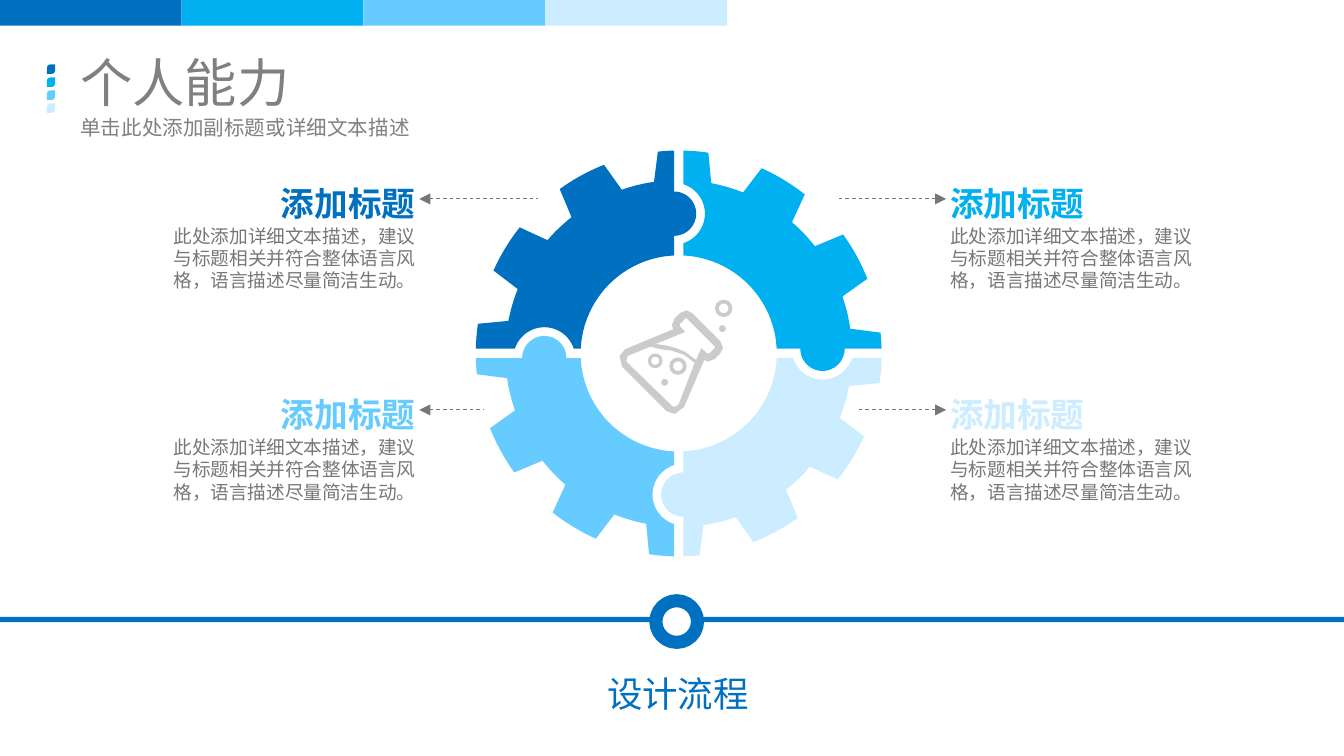
from math import asin, cos, degrees, radians, sin

from lxml.etree import SubElement
from pptx import Presentation
from pptx.dml.color import RGBColor
from pptx.enum.dml import MSO_LINE
from pptx.enum.shapes import MSO_CONNECTOR, MSO_SHAPE
from pptx.enum.text import MSO_ANCHOR, MSO_AUTO_SIZE, PP_ALIGN
from pptx.oxml.ns import qn
from pptx.util import Inches, Pt

FONT = "Noto Sans CJK SC"
BLUE, CYAN, SKY, PALE = PALETTE = ["0070C0", "00B0F0", "66CCFF", "CCECFF"]
GREY, BODY_GREY, ICON_GREY, WHITE = "808080", "777777", "CBCBCB", "FFFFFF"
BODY = "此处添加详细文本描述，建议与标题相关并符合整体语言风格，语言描述尽量简洁生动。"

FLASK = [(.55, .10), (.51, .08), (.46, .10), (.42, .14), (.40, .19), (.41, .22),
         (.05, .37), (.01, .42), (.03, .50), (.36, .83), (.42, .85), (.49, .80),
         (.64, .45), (.67, .46), (.72, .44), (.76, .40), (.78, .36), (.76, .31)]
LIQUID = [(.45, .78), (.42, .80), (.40, .79), (.06, .46), (.07, .42), (.24, .35),
          (.32, .37), (.40, .38), (.49, .41), (.57, .47)]
NECK = [(.72, .36), (.68, .40), (.66, .40), (.62, .36), (.58, .45), (.50, .39),
        (.43, .36), (.35, .34), (.28, .33), (.50, .24), (.46, .20), (.46, .18),
        (.50, .14), (.51, .14), (.72, .35)]


def rgb(color):
    """Turn a hex string into a colour."""
    return RGBColor.from_string(color)


def paint(shape, color):
    """Give a shape a plain fill without line or shadow."""
    shape.shadow.inherit = False
    shape.fill.solid()
    shape.fill.fore_color.rgb = rgb(color)
    shape.line.fill.background()
    return shape


def add_preset(slide, kind, left, top, width, height, color):
    """Add a plain preset shape."""
    box = [Inches(v) for v in (left, top, width, height)]
    return paint(slide.shapes.add_shape(kind, *box), color)


def add_outline(slide, left, top, contours, color):
    """Add a freeform whose contours are relative to a point."""
    contours = [[(Inches(left + x), Inches(top + y)) for x, y in c] for c in contours]
    builder = slide.shapes.build_freeform(*contours[0][0], scale=1.0)
    builder.add_line_segments(contours[0][1:])
    for hole in contours[1:]:
        builder.move_to(*hole[0])
        builder.add_line_segments(hole[1:])
    return paint(builder.convert_to_shape(), color)


def write(shape, text, size, color, align=PP_ALIGN.LEFT, bold=False, inset=(.04, .04)):
    """Fill a text shape with one formatted paragraph."""
    frame = shape.text_frame
    frame.word_wrap = True
    frame.auto_size = MSO_AUTO_SIZE.NONE
    frame.margin_left = frame.margin_right = Inches(inset[0])
    frame.margin_top = frame.margin_bottom = Inches(inset[1])
    frame.text = text
    paragraph = frame.paragraphs[0]
    paragraph.alignment = align
    run = paragraph.runs[0]
    run.font.size, run.font.bold, run.font.name = Pt(size), bold, FONT
    run.font.color.rgb = rgb(color)
    SubElement(run.font._element, qn("a:ea")).set("typeface", FONT)
    return paragraph


def add_text(slide, left, top, width, height, *args, **kwargs):
    """Add a text box holding one paragraph."""
    box = [Inches(v) for v in (left, top, width, height)]
    return write(slide.shapes.add_textbox(*box), *args, **kwargs)


def add_arrow(slide, head_x, tail_x, y):
    """Add a dashed level line with its arrowhead at head_x."""
    arrow = slide.shapes.add_connector(
        MSO_CONNECTOR.STRAIGHT, Inches(head_x), Inches(y), Inches(tail_x), Inches(y))
    arrow.line.color.rgb = rgb(BODY_GREY)
    arrow.line.width = Pt(0.5)
    arrow.line.dash_style = MSO_LINE.DASH
    SubElement(arrow.line._get_or_add_ln(), qn("a:headEnd")).set("type", "triangle")
    SubElement(arrow._element.spPr, qn("a:effectLst"))


def add_header(slide, left, top, width):
    """Place title, subtitle, leaf marks and the colour band."""
    title = slide.shapes.title
    title.left, title.top = Inches(left), Inches(top)
    title.width, title.height = Inches(width), Inches(0.4)
    write(title, "个人能力", 28, GREY, inset=(.1, .05))
    title.text_frame.vertical_anchor = MSO_ANCHOR.MIDDLE
    subtitle = add_text(slide, left, top + 0.4, width, 0.33,
                        "单击此处添加副标题或详细文本描述", 11, GREY, inset=(.1, .05))
    subtitle.space_before = Pt(2.2)
    for i, color in enumerate(PALETTE):
        add_preset(slide, MSO_SHAPE.RECTANGLE, 5.41 / 4 * i, 0, 5.41 / 4, 0.19, color)
        leaf = add_preset(slide, MSO_SHAPE.ROUND_2_DIAG_RECTANGLE, left - 0.15,
                          top + 0.07 + 0.29 / 3 * i, 0.06, 0.07, color)
        leaf.adjustments[0] = 0.4


def arc(x, y, radius, start, end, steps=24):
    """Return points along an arc, with angles in degrees."""
    angles = [radians(start + (end - start) * i / steps) for i in range(steps + 1)]
    return [(x + radius * cos(a), y + radius * sin(a)) for a in angles]


def gear_quarter(tab, socket, outer=1.51, root=1.29, inner=0.73, gap=0.035):
    """Outline the top-left gear quarter around the gear centre."""
    rim, bore = (degrees(asin(gap / r)) for r in (outer, inner))
    points = arc(0, 0, outer, 180 + rim, 188.4, 4)
    for pitch in (180, 210, 240):
        points += arc(0, 0, root, pitch + 10.8, pitch + 21.8, 6)
        points += arc(0, 0, outer, pitch + 24.1, min(pitch + 38.4, 270 - rim), 6)
    points += arc(-gap, -tab, 0.165, -90, 90)
    points += arc(0, 0, inner, 270 - bore, 180 + bore)
    dip = degrees(asin(2 * gap / 0.23))
    return points + arc(-socket, gap, 0.23, -dip, dip - 180)


def add_gear(slide, x, y):
    """Draw four interlocking gear quarters around a centre."""
    tabs = [1.04, 1.00, 1.05, 1.07]
    for turn, color in enumerate([BLUE, SKY, PALE, CYAN]):
        points = gear_quarter(tabs[turn], tabs[(turn + 1) % 4])
        for _ in range(turn):
            points = [(py, -px) for px, py in points]
        add_outline(slide, x, y, [points], color)


def add_flask(slide, left, top):
    """Draw the flask icon with its bubbles."""
    add_outline(slide, left, top, [FLASK, LIQUID, NECK], ICON_GREY)
    for x, y, size in [(.38, .43, .13), (.72, 0, .13), (.22, .40, .11)]:
        ring = add_preset(slide, MSO_SHAPE.DONUT, left + x, top + y, size, size, ICON_GREY)
        ring.adjustments[0] = 0.22
    for x, y in [(.32, .59), (.75, .19)]:
        add_preset(slide, MSO_SHAPE.OVAL, left + x, top + y, .05, .05, ICON_GREY)


def add_callout(slide, left, top, color, align, head_x, tail_x):
    """Place a heading, its description and an arrow."""
    indent = 0.15 if align == PP_ALIGN.RIGHT else 0
    add_text(slide, left, top + 0.31, 1.95, 0.59, BODY, 10, BODY_GREY, align)
    add_text(slide, left + indent, top, 1.8, 0.39, "添加标题", 18, color, align, True)
    add_arrow(slide, head_x, tail_x, top + 0.16)


def add_timeline(slide, top, width):
    """Draw the bottom line, its milestone and the caption."""
    add_preset(slide, MSO_SHAPE.RECTANGLE, 0, top + 0.12, 4.87, 0.04, BLUE)
    add_preset(slide, MSO_SHAPE.RECTANGLE, 5.05, top + 0.12, width - 5.05, 0.04, BLUE)
    milestone = add_preset(slide, MSO_SHAPE.OVAL, 4.88, top, 0.31, 0.31, WHITE)
    milestone.line.color.rgb = rgb(BLUE)
    milestone.line.width = Pt(7)
    add_text(slide, 3.91, top + 0.5, 2.27, 0.39, "设计流程", 19, BLUE,
             PP_ALIGN.CENTER, inset=(.03, .03))


def main():
    """Build and save the slide."""
    deck = Presentation()
    deck.slide_width, deck.slide_height = Inches(10), Inches(10 * 9 / 16)
    slide = deck.slides.add_slide(deck.slide_layouts[5])
    add_header(slide, 0.5, 0.41, 9)
    add_gear(slide, 5.05, 2.63)
    add_flask(slide, 4.6, 2.23)
    add_callout(slide, 1.18, 1.32, BLUE, PP_ALIGN.RIGHT, 3.12, 4)
    add_callout(slide, 1.18, 2.89, SKY, PP_ALIGN.RIGHT, 3.12, 3.6)
    add_callout(slide, 7.03, 1.32, CYAN, PP_ALIGN.LEFT, 7.04, 6.23)
    add_callout(slide, 7.03, 2.89, PALE, PP_ALIGN.LEFT, 7.04, 6.37)
    add_timeline(slide, 4.47, 10)
    deck.save("out.pptx")


if __name__ == "__main__":
    main()
